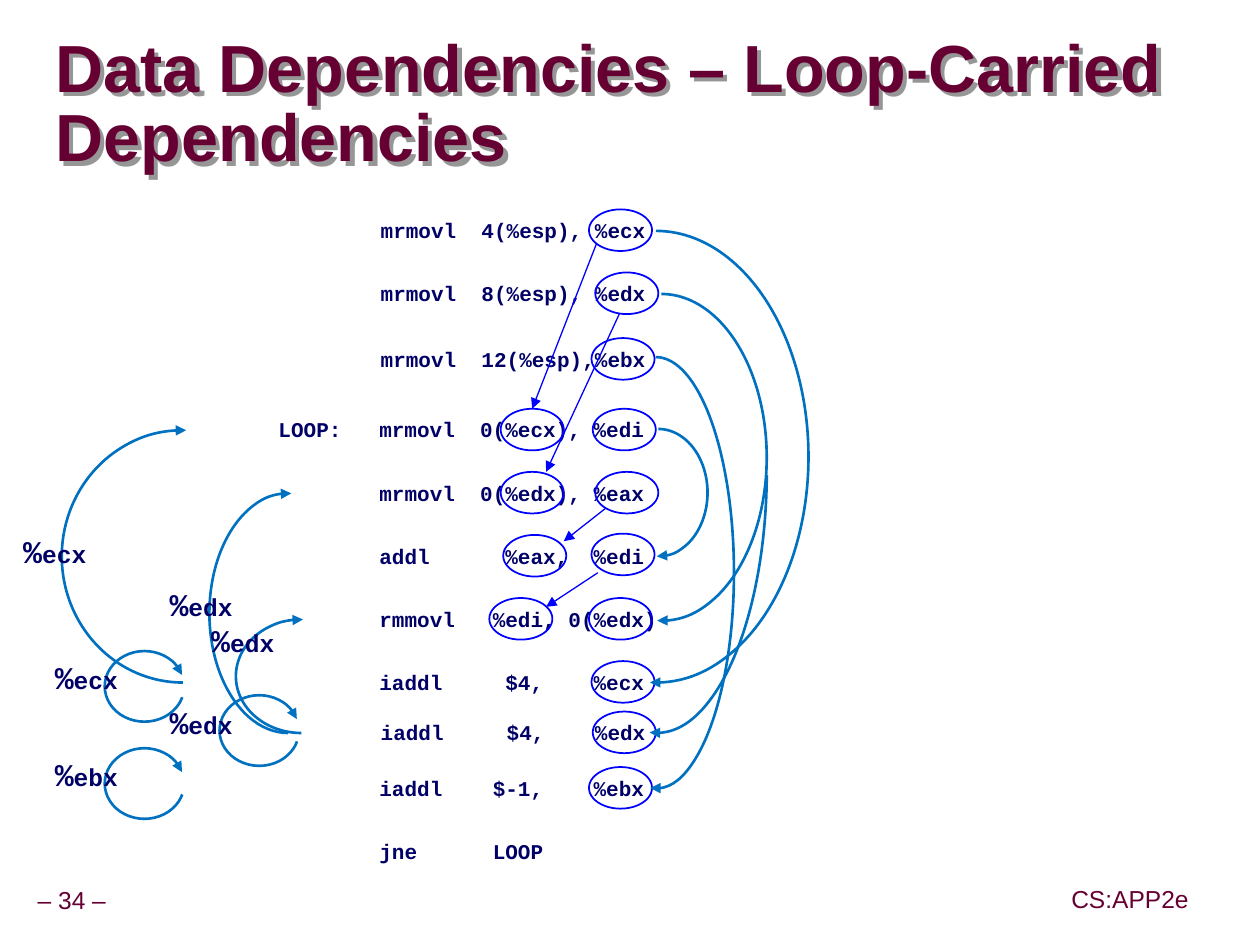
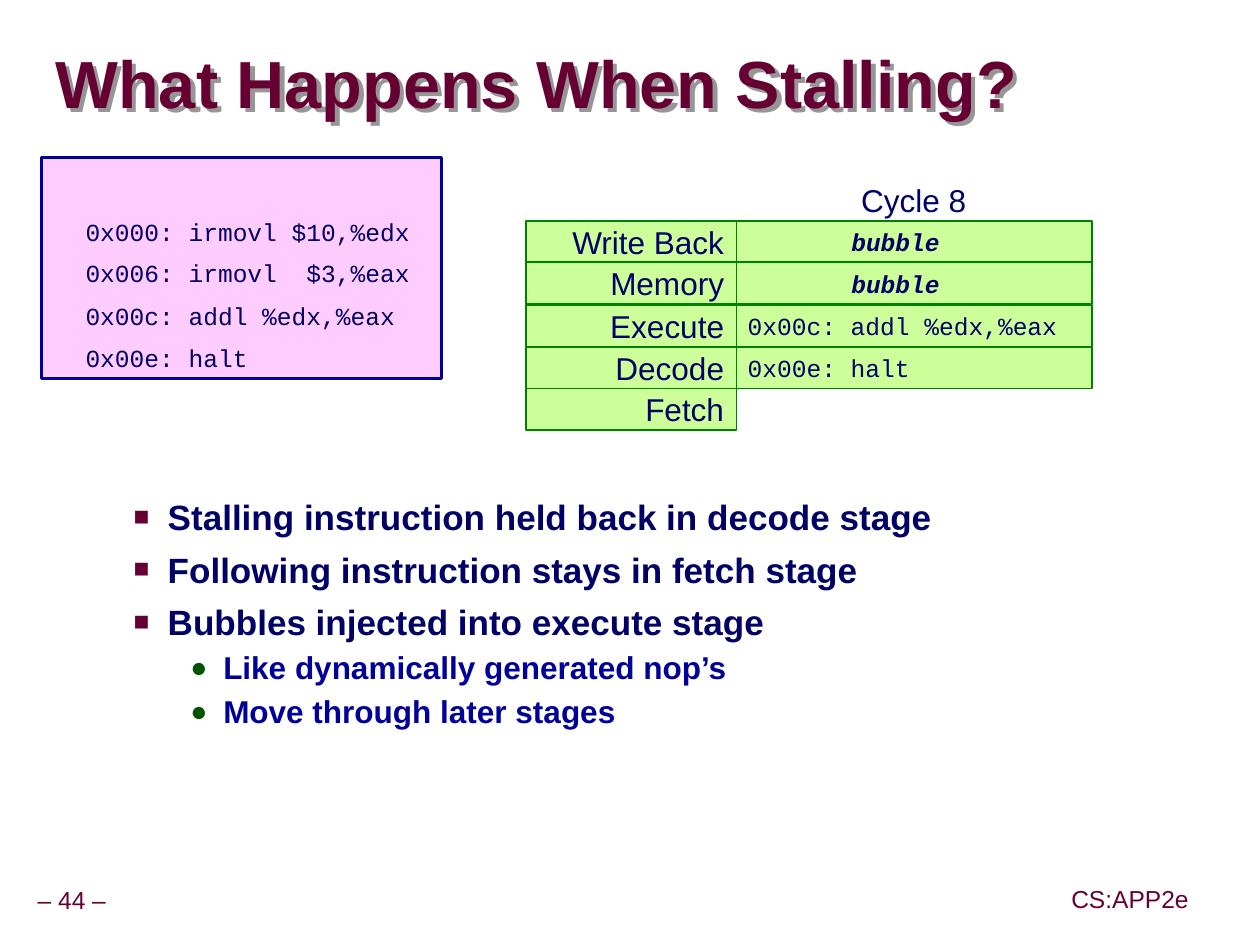
from dataclasses import dataclass, replace

from pptx import Presentation
from pptx.dml.color import RGBColor
from pptx.enum.shapes import MSO_CONNECTOR, MSO_SHAPE
from pptx.enum.text import MSO_ANCHOR as Anchor, MSO_AUTO_SIZE as AutoSize, PP_ALIGN as Align
from pptx.oxml import parse_xml
from pptx.oxml.ns import nsdecls, qn
from pptx.util import Emu, Pt

# Shared style
PX = 9144  # 100 px to the inch
SLIDE_WIDTH, SLIDE_HEIGHT = 999, 749
MAROON = RGBColor(0x66, 0x00, 0x33)
NAVY = RGBColor(0x00, 0x00, 0x66)
INDIGO = RGBColor(0x00, 0x00, 0x99)
BLUE = RGBColor(0x00, 0x00, 0xFF)
ARC_BLUE = RGBColor(0x00, 0x70, 0xC0)
PINK = RGBColor(0xFF, 0xCC, 0xFF)
LIME = RGBColor(0xCC, 0xFF, 0x99)
GREEN = RGBColor(0x00, 0x80, 0x00)
DARK_GREEN = RGBColor(0x00, 0x54, 0x00)


@dataclass(frozen=True)
class TextStyle:
    font: str
    size: int
    color: RGBColor = NAVY
    bold: bool = False
    italic: bool = False


@dataclass(frozen=True)
class BulletStyle:
    text: TextStyle
    mark: str
    color: RGBColor
    percent: int
    left: int
    hanging: int
    before: float
    spacing: float


TITLE = TextStyle("Arial", 38, MAROON, bold=True)
FOOTER = TextStyle("Arial", 14, MAROON)
STAGE = TextStyle("Arial", 18)
CODE = TextStyle("Courier New", 14)
ASSEMBLY = TextStyle("Courier New", 12, bold=True)
REGISTER = replace(CODE, bold=True)
PERCENT = replace(REGISTER, size=18)
BUBBLE = replace(REGISTER, italic=True)
BULLETS = {
    1: BulletStyle(TextStyle("Arial", 20, NAVY, bold=True), "■", MAROON, 75, 81, 27, 5.75, 1.0),
    2: BulletStyle(TextStyle("Arial", 18, INDIGO, bold=True), "●", DARK_GREEN, 90, 125, 26, 2, 1.07),
}


def px(*lengths):
    return [Emu(length * PX) for length in lengths]


def thirds(start, index):
    """Top of a row in a column with three rows to the inch."""
    return start + round(index * 100 / 3)


class Deck:
    def __init__(self):
        self.presentation = Presentation()
        self.presentation.slide_width, self.presentation.slide_height = px(SLIDE_WIDTH, SLIDE_HEIGHT)
        self.slide = None

    def new_slide(self, layout, title, title_height, number):
        self.slide = self.presentation.slides.add_slide(self.presentation.slide_layouts[layout])
        self.title(title, title_height)
        for left, top, width, text in ((24, 699, 66, f"– {number} –"), (844, 698, 104, "CS:APP2e")):
            self.text(left, top, width, 31, [(text, FOOTER)], Align.CENTER, 0.9, inset=5)

    def place(self, shape, left, top, width, height):
        shape.left, shape.top, shape.width, shape.height = px(left, top, width, height)

    def add_runs(self, paragraph, runs):
        for text, style in runs:
            run = paragraph.add_run()
            run.text = text
            font = run.font
            font.name, font.size = style.font, Pt(style.size)
            font.bold, font.italic = style.bold, style.italic
            font.color.rgb = style.color

    def fill_frame(self, shape, runs, align=Align.LEFT, spacing=1.0, anchor=Anchor.MIDDLE, wrap=False):
        frame = shape.text_frame
        frame.word_wrap, frame.vertical_anchor = wrap, anchor
        frame.auto_size = AutoSize.NONE
        paragraph = frame.paragraphs[0]
        paragraph.alignment, paragraph.line_spacing = align, spacing
        self.add_runs(paragraph, runs)

    def insets(self, shape, left, top, right, bottom):
        frame = shape.text_frame
        (frame.margin_left, frame.margin_top,
         frame.margin_right, frame.margin_bottom) = px(left, top, right, bottom)

    def title(self, text, height):
        shape = self.slide.shapes.title
        self.place(shape, 44, 27, 952, height)
        self.insets(shape, 0, 0, 0, 0)
        self.fill_frame(shape, [(text, TITLE)], spacing=0.87, wrap=True)
        shape.fill.background()
        shape.element.spPr.append(parse_xml(
            f'<a:effectLst {nsdecls("a")}><a:outerShdw dist="45000" dir="2700000" algn="ctr" '
            'rotWithShape="0"><a:srgbClr val="969696"/></a:outerShdw></a:effectLst>'))

    def bullets(self, left, top, width, height, items):
        shape = self.slide.placeholders[1]
        self.place(shape, left, top, width, height)
        self.insets(shape, 10, 10, 10, 5)
        frame = shape.text_frame
        frame.word_wrap, frame.auto_size = True, AutoSize.NONE
        for index, (level, text) in enumerate(items):
            style = BULLETS[level]
            paragraph = frame.add_paragraph() if index else frame.paragraphs[0]
            paragraph.level = level
            paragraph.line_spacing = style.spacing
            paragraph.space_before = Pt(style.before if index else 0)
            properties = paragraph._p.get_or_add_pPr()
            properties.set("marL", str(style.left * PX))
            properties.set("indent", str(-style.hanging * PX))
            for xml in (f'<a:buClr {nsdecls("a")}><a:srgbClr val="{style.color}"/></a:buClr>',
                        f'<a:buSzPct {nsdecls("a")} val="{style.percent * 1000}"/>',
                        f'<a:buFont {nsdecls("a")} typeface="Arial"/>',
                        f'<a:buChar {nsdecls("a")} char="{style.mark}"/>'):
                properties.append(parse_xml(xml))
            self.add_runs(paragraph, [(text, style.text)])

    def text(self, left, top, width, height, runs, align=Align.LEFT, spacing=1.0,
             anchor=Anchor.MIDDLE, inset=None):
        shape = self.slide.shapes.add_textbox(*px(left, top, width, height))
        if inset is not None:
            self.insets(shape, inset, inset, inset, inset)
        self.fill_frame(shape, runs, align, spacing, anchor)

    def shape(self, kind, left, top, width, height, line, line_width, fill=None):
        shape = self.slide.shapes.add_shape(kind, *px(left, top, width, height))
        shape.shadow.inherit = False
        if fill is None:
            shape.fill.background()
        else:
            shape.fill.solid()
            shape.fill.fore_color.rgb = fill
        shape.line.color.rgb, shape.line.width = line, Pt(line_width)
        return shape

    def cell(self, left, top, width, runs, align=Align.LEFT, indent=10):
        shape = self.shape(MSO_SHAPE.RECTANGLE, left, top, width, 33, GREEN, 1, LIME)
        self.insets(shape, indent, 5, 10, 5)
        self.fill_frame(shape, runs, align)

    def ring(self, left, top):
        self.shape(MSO_SHAPE.OVAL, left, top, 50, 33, BLUE, 1)

    def arrowhead(self, shape):
        line = shape.element.spPr.find(qn("a:ln"))
        line.append(parse_xml(f'<a:tailEnd {nsdecls("a")} type="triangle"/>'))

    def arc(self, left, top, width, height, start=270, end=91.48, rotation=0):
        """Draw an arrowed arc between two angles in degrees."""
        shape = self.shape(MSO_SHAPE.ARC, left, top, width, height, ARC_BLUE, 1.5)
        shape.rotation = rotation
        for index, angle in enumerate((start, end)):
            shape.adjustments[index] = angle * 0.6
        self.arrowhead(shape)

    def arrow(self, *ends):
        connector = self.slide.shapes.add_connector(MSO_CONNECTOR.STRAIGHT, *px(*ends))
        connector.line.color.rgb, connector.line.width = BLUE, Pt(0.75)
        self.arrowhead(connector)
        connector.element.spPr.append(parse_xml(f'<a:effectLst {nsdecls("a")}/>'))

    def register(self, left, top, name):
        self.text(left, top, 71, 38, [("%", PERCENT), (name, REGISTER)], Align.CENTER, 0.9, Anchor.TOP)


def dependencies_slide(deck):
    deck.new_slide(5, "Data Dependencies – Loop-Carried Dependencies", 114, 34)

    # Assembly listing
    for left, top, code in (
        (292, 166, "mrmovl  4(%esp), %ecx"),
        (292, 216, "mrmovl  8(%esp), %edx"),
        (292, 268, "mrmovl  12(%esp),%ebx"),
        (211, 324, "LOOP:   mrmovl  0(%ecx), %edi"),
        (291, 374, "mrmovl  0(%edx), %eax"),
        (291, 424, "addl      %eax,  %edi"),
        (291, 474, "rmmovl   %edi, 0(%edx)"),
        (291, 524, "iaddl     $4,    %ecx"),
        (292, 564, "iaddl     $4,    %edx"),
        (291, 608, "iaddl    $-1,    %ebx"),
        (291, 658, "jne      LOOP"),
    ):
        deck.text(left, top, 350, 33, [(code, ASSEMBLY)])

    # Rings around the registers
    for left, top in ((467, 166), (472, 216), (469, 268), (397, 324), (470, 324),
                      (397, 374), (472, 374), (399, 424), (469, 423), (388, 474),
                      (467, 474), (469, 524), (470, 564), (467, 608)):
        deck.ring(left, top)

    # Straight dependencies
    for ends in ((473, 193, 422, 324), (491, 249, 433, 374),
                 (480, 403, 447, 429), (474, 454, 433, 481)):
        deck.arrow(*ends)

    # Dependencies on the right
    for box in ((483, 340, 78, 101), (441, 233, 167, 259),
                (458, 283, 124, 342), (399, 183, 242, 358)):
        deck.arc(*box)
    deck.arc(433, 166, 175, 415, start=1.89)

    # Loop-carried dependencies on the left
    for box in ((49, 341, 192, 200), (166, 391, 125, 190), (187, 491, 104, 90)):
        deck.arc(*box, rotation=180)
    for left, top in ((83, 516), (174, 551), (83, 593)):
        deck.arc(left, top, 63, 56, start=196.03, end=163.1, rotation=180)
    for left, top, name in ((8, 420, "ecx"), (124, 462, "edx"), (157, 491, "edx"),
                            (33, 520, "ecx"), (124, 556, "edx"), (33, 597, "ebx")):
        deck.register(left, top, name)


def stalling_slide(deck):
    deck.new_slide(1, "What Happens When Stalling?", 85, 44)
    deck.bullets(42, 383, 907, 283, (
        (1, "Stalling instruction held back in decode stage"),
        (1, "Following instruction stays in fetch stage"),
        (1, "Bubbles injected into execute stage"),
        (2, "Like dynamically generated nop’s"),
        (2, "Move through later stages"),
    ))

    # Program
    deck.shape(MSO_SHAPE.RECTANGLE, 33, 125, 317, 175, INDIGO, 1.5, PINK)
    for index, code in enumerate(("0x000: irmovl $10,%edx", "0x006: irmovl  $3,%eax",
                                  "0x00c: addl %edx,%eax", "0x00e: halt")):
        deck.text(58, thirds(167, index), 283, 33, [(code, CODE)])

    # Pipeline stages in cycle 8
    deck.text(583, 142, 283, 33, [("Cycle 8", STAGE)], Align.CENTER)
    for index, (stage, content, style, indent) in enumerate((
        ("Write Back", "bubble", BUBBLE, 92),
        ("Memory", "bubble", BUBBLE, 92),
        ("Execute", "0x00c: addl %edx,%eax", CODE, 10),
        ("Decode", "0x00e: halt", CODE, 10),
        ("Fetch", None, None, None),
    )):
        top = thirds(175, index)
        if content:
            deck.cell(583, top, 283, [(content, style)], indent=indent)
        deck.cell(417, top, 167, [(stage, STAGE)], Align.RIGHT)


def main():
    deck = Deck()
    dependencies_slide(deck)
    stalling_slide(deck)
    deck.presentation.save("out.pptx")


if __name__ == "__main__":
    main()
